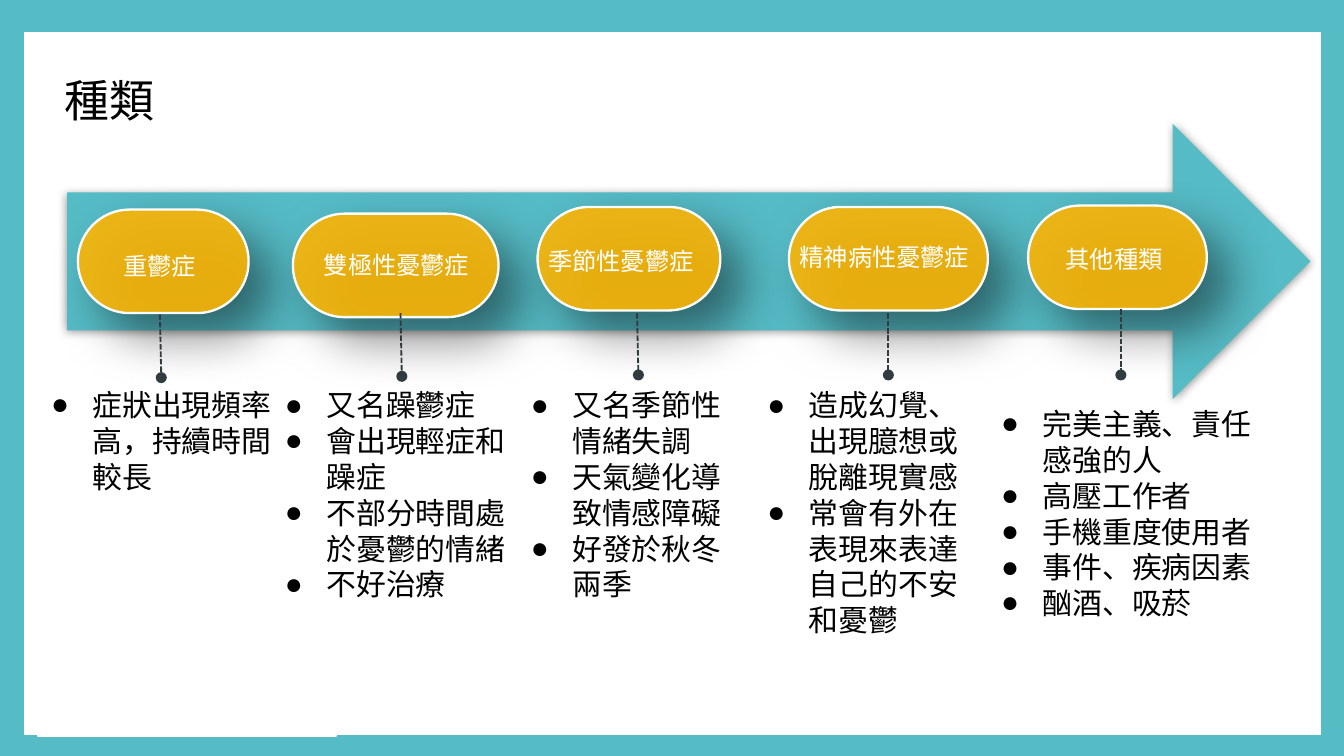
from lxml.etree import SubElement
from pptx import Presentation
from pptx.dml.color import RGBColor
from pptx.enum.dml import MSO_LINE
from pptx.enum.shapes import MSO_CONNECTOR, MSO_SHAPE
from pptx.enum.text import PP_ALIGN
from pptx.oxml.ns import qn
from pptx.util import Inches, Pt

TEAL = RGBColor(0x55, 0xBB, 0xC5)
GOLD = RGBColor(0xFB, 0xB5, 0x05)
SLATE = RGBColor(0x30, 0x3C, 0x41)
WHITE = RGBColor(0xFF, 0xFF, 0xFF)
BLACK = RGBColor(0, 0, 0)
FONT = "Noto Sans CJK SC"
SLIDE_WIDTH = 10
SLIDE_HEIGHT = SLIDE_WIDTH * 9 / 16
PILL_HEIGHT = 0.77
LINE_PITCH = 1.2  # line height as a multiple of the font size

TITLE = "種類"
# pill: left, top, width; label: left, top, width
# stem: x and y at the top, x and y at the dot; notes: left, top, width, height
TYPES = [
    {"name": "重鬱症", "pill": (0.58, 1.56, 1.27), "label": (0.87, 1.82, 0.66),
     "stem": (1.19, 2.34, 1.2, 2.81), "notes_at": (0.33, 2.83, 1.8, 1.04),
     "notes": ["症狀出現頻率高，持續時間較長"]},
    {"name": "雙極性憂鬱症", "pill": (2.18, 1.59, 1.53), "label": (2.36, 1.81, 1.2),
     "stem": (2.98, 2.33, 2.99, 2.8), "notes_at": (2.07, 2.83, 1.8, 1.52),
     "notes": ["又名躁鬱症", "會出現輕症和躁症", "不部分時間處於憂鬱的情緒", "不好治療"]},
    {"name": "季節性憂鬱症", "pill": (4, 1.54, 1.36), "label": (4.03, 1.78, 1.31),
     "stem": (4.74, 2.33, 4.75, 2.79), "notes_at": (3.9, 2.83, 1.73, 1.52),
     "notes": ["又名季節性情緒失調", "天氣變化導致情感障礙", "好發於秋冬兩季"]},
    {"name": "精神病性憂鬱症", "pill": (5.87, 1.54, 1.48), "label": (5.9, 1.75, 1.38),
     "stem": (6.61, 2.33, 6.61, 2.79), "notes_at": (5.66, 2.83, 1.73, 1.75),
     "notes": ["造成幻覺、出現臆想或脫離現實感", "常會有外在表現來表達自己的不安和憂鬱"]},
    {"name": "其他種類", "pill": (7.65, 1.53, 1.33), "label": (7.88, 1.77, 0.84),
     "stem": (8.34, 2.3, 8.34, 2.79), "notes_at": (7.4, 2.97, 2.13, 1.52),
     "notes": ["完美主義、責任感強的人", "高壓工作者", "手機重度使用者", "事件、疾病因素", "酗酒、吸菸"]},
]


def add_block(slide, kind, box, fill, line=None, line_width=1):
    shape = slide.shapes.add_shape(kind, *map(Inches, box))
    shape.shadow.inherit = False
    shape.fill.solid()
    shape.fill.fore_color.rgb = fill
    if line is None:
        shape.line.fill.background()
    else:
        shape.line.color.rgb = line
        shape.line.width = Pt(line_width)
    return shape


def cast_shadow(shape, opacity, blur, distance, angle):
    """Add an outer black shadow; opacity in percent, lengths in points."""
    effects = shape._element.spPr.find(qn("a:effectLst"))
    shadow = SubElement(effects, qn("a:outerShdw"), blurRad=str(Pt(blur)),
                        dist=str(Pt(distance)), dir=str(angle * 60000),
                        algn="ctr", rotWithShape="0")
    color = SubElement(shadow, qn("a:srgbClr"), val=str(BLACK))
    SubElement(color, qn("a:alpha"), val=str(opacity * 1000))


def add_text(slide, box, lines, size, color, align=PP_ALIGN.LEFT, bullets=False):
    frame = slide.shapes.add_textbox(*map(Inches, box)).text_frame
    frame.word_wrap = True
    frame.margin_left = frame.margin_right = Inches(0.05)
    frame.margin_top = frame.margin_bottom = Inches(0.05)
    for index, line in enumerate(lines):
        paragraph = frame.paragraphs[0] if index == 0 else frame.add_paragraph()
        paragraph.alignment = align
        paragraph.line_spacing = Pt(size * LINE_PITCH)
        if bullets:
            properties = paragraph._p.get_or_add_pPr()
            properties.set("marL", str(Inches(0.31)))
            properties.set("indent", str(-Inches(0.31)))
            SubElement(properties, qn("a:buFont"), typeface="Arial")
            SubElement(properties, qn("a:buChar"), char="●")
        run = paragraph.add_run()
        run.text = line
        run.font.name = FONT
        run.font.size = Pt(size)
        run.font.color.rgb = color
        SubElement(run._r.get_or_add_rPr(), qn("a:ea"), typeface=FONT)


def add_pill(slide, left, top, width):
    pill = add_block(slide, MSO_SHAPE.ROUNDED_RECTANGLE,
                     (left, top, width, PILL_HEIGHT), GOLD, WHITE, 1.25)
    pill.adjustments[0] = 0.5
    color = pill._element.spPr.find(qn("a:solidFill")).find(qn("a:srgbClr"))
    SubElement(color, qn("a:alpha"), val="90000")
    cast_shadow(pill, 50, 26, 17, 45)


def add_stem(slide, ends):
    """Add a dashed line that ends in a dot."""
    stem = slide.shapes.add_connector(MSO_CONNECTOR.STRAIGHT, *map(Inches, ends))
    stem.line.color.rgb = SLATE
    stem.line.width = Pt(1)
    stem.line.dash_style = MSO_LINE.SQUARE_DOT
    SubElement(stem.line._get_or_add_ln(), qn("a:tailEnd"), type="oval")
    SubElement(stem._element.spPr, qn("a:effectLst"))


def main():
    presentation = Presentation()
    presentation.slide_width = Inches(SLIDE_WIDTH)
    presentation.slide_height = Inches(SLIDE_HEIGHT)
    slide = presentation.slides.add_slide(presentation.slide_layouts[6])

    add_block(slide, MSO_SHAPE.RECTANGLE, (0, 0, SLIDE_WIDTH, SLIDE_HEIGHT), TEAL)
    add_block(slide, MSO_SHAPE.RECTANGLE, (0.17, 0.23, 9.67, 5.25), WHITE, TEAL)
    add_block(slide, MSO_SHAPE.RECTANGLE, (0.28, 4.2, 2.22, 1.28), WHITE, WHITE)
    arrow = add_block(slide, MSO_SHAPE.RIGHT_ARROW, (0.5, 0.92, 9.25, 2.05), TEAL)
    cast_shadow(arrow, 40, 5, 0, 0)
    add_text(slide, (0.43, 0.49, 0.78, 0.56), [TITLE], 24, BLACK)

    for kind in TYPES:
        add_pill(slide, *kind["pill"])
        add_text(slide, (*kind["label"], 0.35), [kind["name"]], 13, WHITE, PP_ALIGN.JUSTIFY)
        add_stem(slide, kind["stem"])
        add_text(slide, kind["notes_at"], kind["notes"], 16, BLACK, bullets=True)

    presentation.save("out.pptx")


if __name__ == "__main__":
    main()
